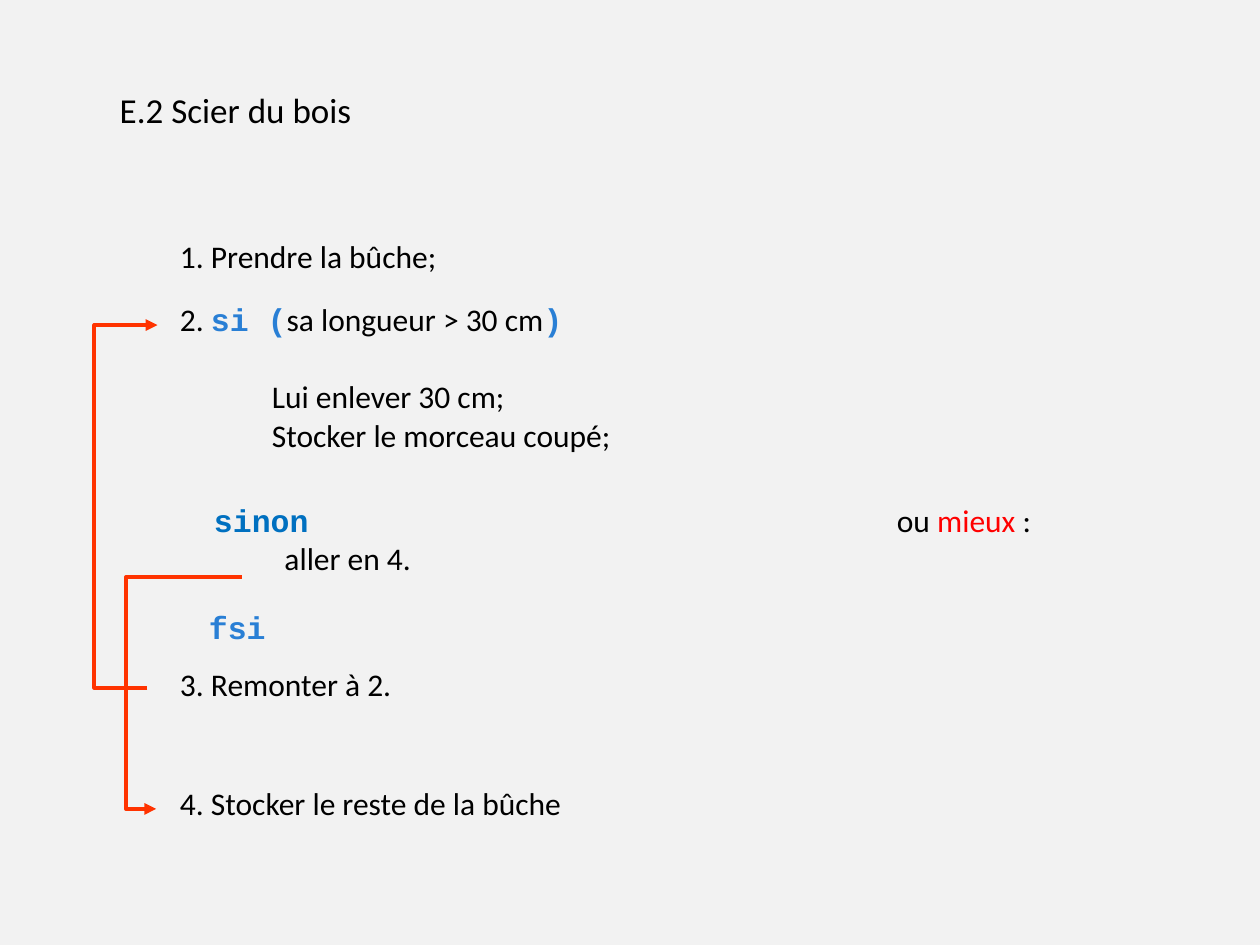
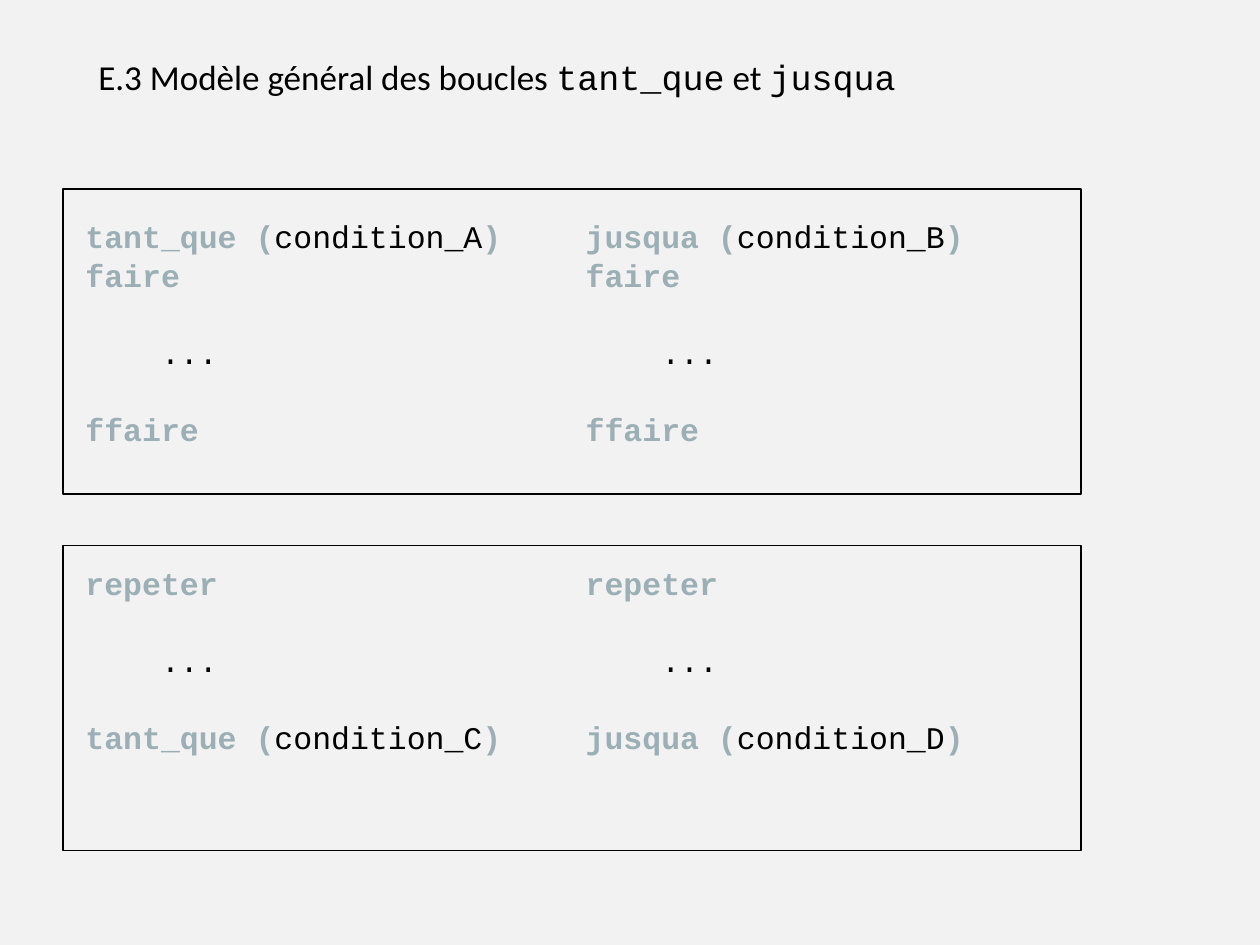
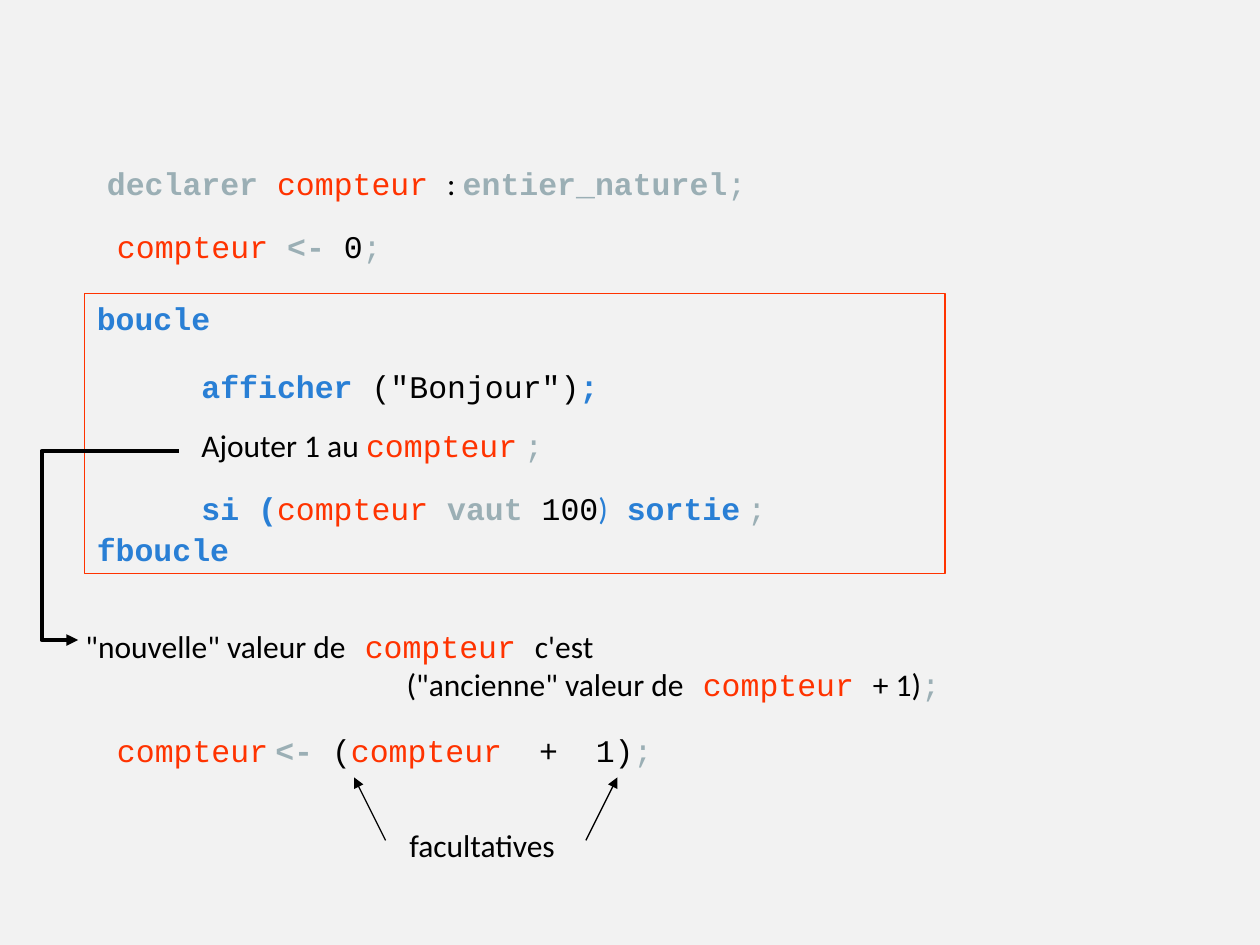
from lxml.etree import SubElement
from pptx import Presentation
from pptx.dml.color import RGBColor
from pptx.enum.shapes import MSO_CONNECTOR as Connector, MSO_SHAPE as Preset
from pptx.enum.text import PP_ALIGN as Align
from pptx.oxml.ns import qn
from pptx.util import Inches, Pt

COLORS = {
    "background": "F2F2F2",
    "black": "000000",
    "blue": "297FD5",
    "deep_blue": "0070C0",
    "gray": "9BAFB5",
    "orange": "FF3300",
    "red": "FF0000",
}
BODY_FONT, CODE_FONT = "Calibri", "Courier New"
STYLES = {
    "body": (BODY_FONT, "black", False),
    "alert": (BODY_FONT, "red", False),
    "paren": (BODY_FONT, "blue", False),
    "code": (CODE_FONT, "black", False),
    "variable": (CODE_FONT, "orange", False),
    "mark": (CODE_FONT, "gray", False),
    "pale": (CODE_FONT, "gray", True),
    "keyword": (CODE_FONT, "blue", True),
    "else": (CODE_FONT, "deep_blue", True),
}
BODY_SIZE, TITLE_SIZE = 18, 20
LINE_RATIO = 1.22
LINE = 22  # points taken by one line of body text


def write_text(shape, paragraphs, size=BODY_SIZE, alignment=Align.LEFT):
    """Fill a shape; a paragraph is a dict of runs, before (points), indent and tabs (inches)."""
    frame = shape.text_frame
    frame.word_wrap = True
    for index, content in enumerate(paragraphs):
        paragraph = frame.add_paragraph() if index else frame.paragraphs[0]
        properties = paragraph._p.get_or_add_pPr()
        properties.set("marL", str(Inches(content.get("indent", 0))))
        if "tabs" in content:
            tab_list = SubElement(properties, qn("a:tabLst"))
            for position in content["tabs"]:
                SubElement(tab_list, qn("a:tab"), pos=str(Inches(position)), algn="l")
        settings = {
            "alignment": alignment,
            "line_spacing": Pt(round(size * LINE_RATIO)),
            "space_before": Pt(content.get("before", 0)),
        }
        for name, value in settings.items():
            setattr(paragraph, name, value)
        for text, style in content["runs"]:
            font_name, color, bold = STYLES[style]
            run = paragraph.add_run()
            run.text = text
            for name, value in {"name": font_name, "size": Pt(size), "bold": bold}.items():
                setattr(run.font, name, value)
            run.font.color.rgb = RGBColor.from_string(COLORS[color])


def draw_arrow(slide, points, color, width):
    """Draw a line through the points, in inches, with an arrowhead at the last one."""
    corners = [(Inches(x), Inches(y)) for x, y in points]
    if len(corners) == 2:
        arrow = slide.shapes.add_connector(Connector.STRAIGHT, *corners[0], *corners[1])
    else:
        builder = slide.shapes.build_freeform(*corners[0])
        builder.add_line_segments(corners[1:], close=False)
        arrow = builder.convert_to_shape()
        arrow.fill.background()
    arrow.line.color.rgb = RGBColor.from_string(COLORS[color])
    arrow.line.width = Pt(width)
    SubElement(arrow.line._get_or_add_ln(), qn("a:tailEnd"), type="triangle")
    SubElement(arrow._element.spPr, qn("a:effectLst"))


presentation = Presentation()
presentation.slide_width, presentation.slide_height = Inches(10), Inches(7.5)
slides = []
for number in range(3):
    slide = presentation.slides.add_slide(presentation.slide_layouts[6])
    slide.background.fill.solid()
    slide.background.fill.fore_color.rgb = RGBColor.from_string(COLORS["background"])
    slides.append(slide)
wood_slide, loops_slide, counter_slide = slides

# Titles
titles = [
    (wood_slide, (0.83, 0.65, 2.08, 0.44), [("E.2 Scier du bois", "body")]),
    (loops_slide, (0.65, 0.39, 6.59, 0.44), [
        ("E.3 Modèle général des boucles ", "body"), ("tant_que", "code"),
        (" et ", "body"), ("jusqua", "code")]),
]
for slide, box, runs in titles:
    title = slide.shapes.add_textbox(*map(Inches, box))
    write_text(title, [{"runs": runs}], TITLE_SIZE, Align.CENTER)

# Frames
frames = [
    (loops_slide, (0.5, 1.5, 8.08, 2.42), "black", []),
    (loops_slide, (0.5, 4.33, 8.08, 2.42), "black", []),
    (counter_slide, (0.67, 2.33, 6.83, 2.22), "orange", [
        {"runs": [("boucle", "keyword")]},
        {"runs": [("fboucle", "keyword")], "before": 5 * LINE}]),
]
for slide, box, color, paragraphs in frames:
    frame_shape = slide.shapes.add_shape(Preset.RECTANGLE, *map(Inches, box))
    frame_shape.shadow.inherit = False
    frame_shape.fill.background()
    frame_shape.line.color.rgb = RGBColor.from_string(COLORS[color])
    frame_shape.line.width = Pt(0.75)
    write_text(frame_shape, paragraphs)

# Sawing wood
wood_texts = [
    ((1.33, 1.83, 2.92, 0.4), [{"runs": [("1. Prendre la bûche;", "body")]}]),
    ((1.33, 2.33, 4.5, 2.83), [
        {"runs": [("2. ", "body"), ("si (", "keyword"),
                  ("sa longueur > 30 cm", "body"), (")", "keyword")]},
        {"runs": [("Lui enlever 30 cm;", "body")], "before": LINE, "indent": 0.73},
        {"runs": [("Stocker le morceau coupé;", "body")], "indent": 0.73},
        {"runs": [("fsi", "keyword")], "before": 4 * LINE, "indent": 0.23}]),
    ((1.33, 5.22, 2.58, 0.4), [{"runs": [("3. Remonter à 2.", "body")]}]),
    ((6.97, 3.92, 1.38, 0.4), [
        {"runs": [("ou ", "body"), ("mieux", "alert"), (" :", "body")], "indent": 0.05}]),
    ((1.33, 6.17, 4.33, 0.4), [{"runs": [("4. Stocker le reste de la bûche", "body")]}]),
    ((1.6, 3.92, 4.5, 0.71), [
        {"runs": [("sinon", "else")]},
        {"runs": [("aller en 4.", "body")], "indent": 0.56}]),
]

# General loop models: one column per keyword
loops_texts = []
for left, width, keyword, first, second in [
    (0.58, 3.53, "tant_que", "condition_A", "condition_C"),
    (4.55, 3.23, "jusqua", "condition_B", "condition_D"),
]:
    test_first, test_last = [
        [(f"{keyword} (", "pale"), (condition, "code"), (")", "pale")]
        for condition in (first, second)
    ]
    loop_body = {"runs": [("    ...", "code")], "before": LINE}
    loops_texts += [
        ((left, 1.67, width, 1.92), [
            {"runs": test_first},
            {"runs": [("faire", "pale")]},
            loop_body,
            {"runs": [("ffaire", "pale")], "before": LINE}]),
        ((left, 4.42, width, 1.62), [
            {"runs": [("repeter", "pale")]},
            loop_body,
            {"runs": test_last, "before": LINE}]),
    ]

# Counter
counter = ("compteur", "variable")
spaced_counter = ("compteur ", "variable")
code_space, body_space = (" ", "code"), (" ", "body")
semicolon = (";", "mark")
counter_texts = [
    ((1.5, 3.33, 3.07, 0.4), [
        {"runs": [("Ajouter 1 au ", "body"), counter, body_space, semicolon]}]),
    ((1.5, 3.83, 4.72, 0.4), [
        {"runs": [("si (", "keyword"), spaced_counter, ("vaut", "pale"), (" 100", "code"),
                  (")", "paren"), code_space, ("sortie", "keyword"), body_space, semicolon]}]),
    ((1.5, 2.86, 3.38, 0.4), [
        {"runs": [("afficher ", "keyword"), ('("Bonjour")', "code"), (";", "keyword")]}]),
    ((0.83, 1.75, 2.32, 0.4), [
        {"runs": [spaced_counter, ("<-", "pale"), (" 0", "code"), semicolon]}]),
    ((0.75, 1.25, 5.41, 0.4), [
        {"runs": [("declarer ", "pale"), spaced_counter, (": ", "body"),
                  ("entier_naturel", "pale"), semicolon]}]),
    ((0.83, 5.75, 4.49, 0.4), [
        {"runs": [counter, body_space, ("<-", "pale"), (" (", "code"), counter,
                  ("\t+\t1)", "code"), semicolon], "tabs": [3.35, 3.8]}]),
    ((0.58, 4.92, 9.03, 0.71), [
        {"runs": [('"nouvelle" valeur de', "body"), code_space, spaced_counter,
                  ("c'est", "body")]},
        {"runs": [('("ancienne" valeur de', "body"), code_space, spaced_counter,
                  ("+ 1)", "body"), semicolon], "indent": 2.55}]),
    ((3.15, 6.5, 1.48, 0.4), [{"runs": [("facultatives", "body")]}]),
]

for slide, texts in zip(slides, (wood_texts, loops_texts, counter_texts)):
    for box, paragraphs in texts:
        write_text(slide.shapes.add_textbox(*map(Inches, box)), paragraphs)

# Arrows
arrows = [
    (wood_slide, [(1.17, 5.46), (0.75, 5.46), (0.75, 2.58), (1.25, 2.58)], "orange", 2.25),
    (wood_slide, [(1.92, 4.58), (1, 4.58), (1, 6.42), (1.24, 6.42)], "orange", 2.25),
    (counter_slide, [(1.42, 3.58), (0.33, 3.58), (0.33, 5.08), (0.62, 5.08)], "black", 2.25),
    (counter_slide, [(3.06, 6.67), (2.81, 6.17)], "black", 0.75),
    (counter_slide, [(4.65, 6.67), (4.9, 6.17)], "black", 0.75),
]
for arrow in arrows:
    draw_arrow(*arrow)

presentation.save("out.pptx")
